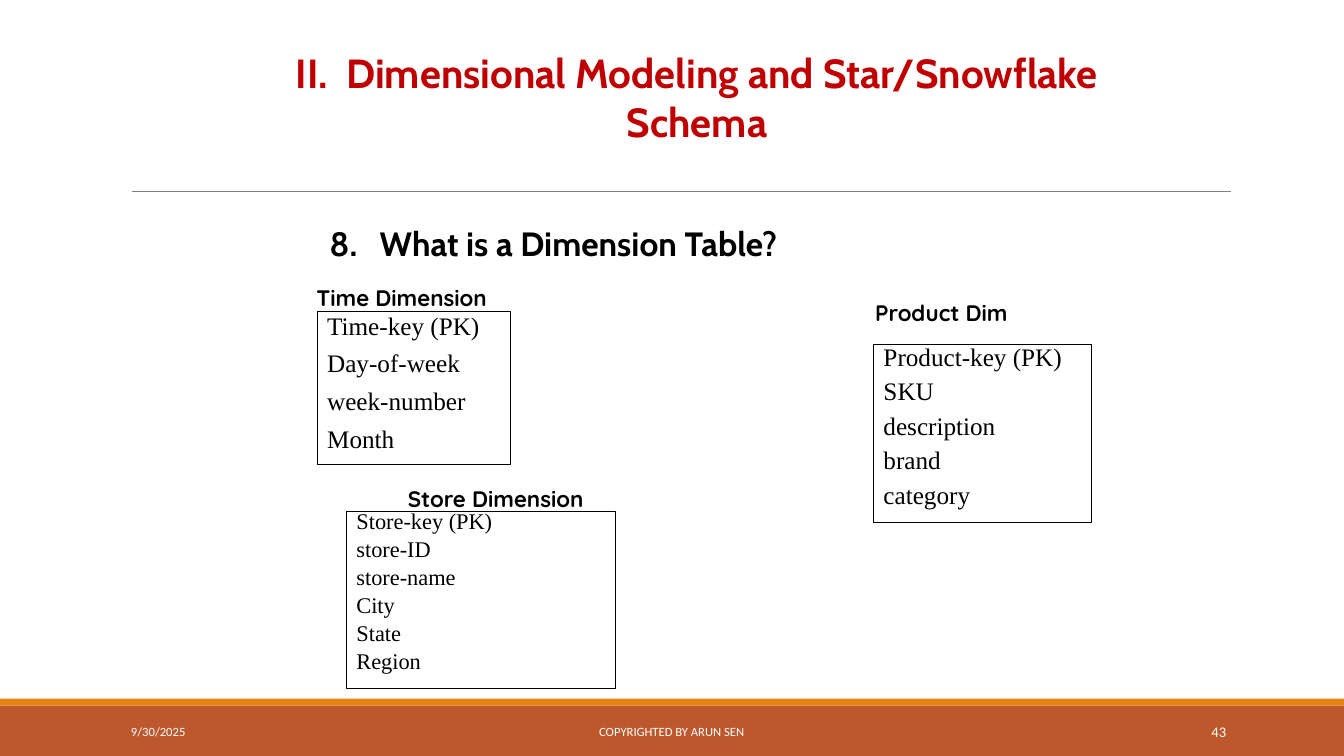
"""Build a slide that shows three dimension tables of a star schema."""
from dataclasses import dataclass

from lxml import etree
from pptx import Presentation
from pptx.dml.color import RGBColor
from pptx.enum.shapes import MSO_CONNECTOR, MSO_SHAPE
from pptx.enum.text import MSO_ANCHOR, PP_ALIGN
from pptx.oxml.ns import qn
from pptx.util import Pt

LEFT, CENTER, RIGHT = PP_ALIGN.LEFT, PP_ALIGN.CENTER, PP_ALIGN.RIGHT
TOP, MIDDLE = MSO_ANCHOR.TOP, MSO_ANCHOR.MIDDLE
RECTANGLE = MSO_SHAPE.RECTANGLE
STRAIGHT = MSO_CONNECTOR.STRAIGHT

COLORS = {
    "title": "C00000",
    "ink": "000000",
    "rule": "808080",
    "footer": "BD582C",
    "accent": "E48312",
    "footer_text": "FFFFFF",
}
HEADING_INSET = 13.2
HEADING_HANG = 36


@dataclass(frozen=True)
class Area:
    left: float
    top: float
    width: float
    height: float

    def lengths(self) -> tuple:
        return Pt(self.left), Pt(self.top), Pt(self.width), Pt(self.height)


@dataclass(frozen=True)
class Style:
    font: str
    size: float
    color: str
    bold: bool = False
    align: PP_ALIGN = LEFT
    anchor: MSO_ANCHOR = TOP
    line_spacing: float = 1.0
    space_before: float = 0


@dataclass(frozen=True)
class Label:
    text: str
    area: Area
    style: Style


@dataclass(frozen=True)
class Dimension:
    columns: tuple
    area: Area
    style: Style
    label: Label


def column_style(size: float, line_spacing: float, space_before: float) -> Style:
    return Style("Times New Roman", size, "ink",
                 line_spacing=line_spacing, space_before=space_before)


def name_style(align: PP_ALIGN = LEFT) -> Style:
    return Style("Quicksand", 16, "ink", True, align)


def footer_style(size: float, align: PP_ALIGN) -> Style:
    return Style("Calibri", size, "footer_text", align=align, anchor=MIDDLE)


TITLE = Label("II.  Dimensional Modeling and Star/Snowflake Schema",
              Area(192, 24, 612, 90),
              Style("Cabin", 29, "title", True, CENTER, MIDDLE))
HEADING = Label("8.\tWhat is a Dimension Table?", Area(222, 156, 552, 36),
                Style("Cabin", 24, "ink", True))
DIMENSIONS = (
    Dimension(("Time-key (PK)", "Day-of-week", "week-number", "Month"),
              Area(226.6, 222.3, 138.2, 109.8), column_style(18, 0.8, 9.5),
              Label("Time Dimension", Area(219, 199.5, 138, 26.5), name_style())),
    Dimension(("Product-key (PK)", "SKU", "description", "brand", "category"),
              Area(624, 246, 156, 127.2), column_style(18, 0.7, 9.5),
              Label("Product Dim", Area(618, 210, 168, 26.5), name_style())),
    Dimension(("Store-key (PK)", "store-ID", "store-name", "City", "State", "Region"),
              Area(247.5, 365.6, 192, 126.4), column_style(16, 0.6, 8.5),
              Label("Store Dimension", Area(222, 343, 264, 26.5), name_style(CENTER))),
)
FOOTERS = (
    Label("9/30/2025", Area(86.5, 508.5, 194.5, 28.5), footer_style(9, LEFT)),
    Label("COPYRIGHTED BY ARUN SEN", Area(290, 508.5, 379.5, 28.5),
          footer_style(9, CENTER)),
    Label("43", Area(780, 508.5, 103, 28.5), footer_style(10.5, RIGHT)),
)


def rgb(name: str) -> RGBColor:
    return RGBColor.from_string(COLORS[name])


def write(frame, lines: tuple, style: Style) -> None:
    frame.word_wrap = True
    frame.vertical_anchor = style.anchor
    for index, line in enumerate(lines):
        para = frame.add_paragraph() if index else frame.paragraphs[0]
        para.text = line
        para.alignment = style.align
        para.line_spacing = style.line_spacing
        para.space_before = Pt(style.space_before if index else 0)
        para.font.name = style.font
        para.font.size = Pt(style.size)
        para.font.bold = style.bold
        para.font.color.rgb = rgb(style.color)


def add_label(page, label: Label):
    box = page.shapes.add_textbox(*label.area.lengths())
    write(box.text_frame, (label.text,), label.style)
    return box


def add_heading(page, label: Label) -> None:
    frame = add_label(page, label).text_frame
    frame.margin_left = Pt(HEADING_INSET)
    properties = frame.paragraphs[0]._p.get_or_add_pPr()
    properties.set("marL", str(Pt(HEADING_HANG)))
    properties.set("indent", str(-Pt(HEADING_HANG)))


def add_bar(page, area: Area, color: str) -> None:
    bar = page.shapes.add_shape(RECTANGLE, *area.lengths())
    bar.shadow.inherit = False
    bar.fill.solid()
    bar.fill.fore_color.rgb = rgb(color)
    bar.line.fill.background()


def add_rule(page, left: float, right: float, top: float) -> None:
    rule = page.shapes.add_connector(STRAIGHT, Pt(left), Pt(top), Pt(right), Pt(top))
    rule.line.color.rgb = rgb("rule")
    rule.line.width = Pt(0.5)
    etree.SubElement(rule._element.spPr, qn("a:effectLst"))


def add_dimension(page, dimension: Dimension) -> None:
    box = page.shapes.add_shape(RECTANGLE, *dimension.area.lengths())
    box.shadow.inherit = False
    box.fill.background()
    box.line.color.rgb = rgb("ink")
    box.line.width = Pt(0.75)
    write(box.text_frame, dimension.columns, dimension.style)
    add_label(page, dimension.label)


def main() -> None:
    deck = Presentation()
    deck.slide_width, deck.slide_height = Pt(960), Pt(540)
    page = deck.slides.add_slide(deck.slide_layouts[6])
    add_bar(page, Area(0, 504, 960, 36), "footer")
    add_bar(page, Area(0, 499, 960, 5), "accent")
    add_rule(page, 94.5, 879, 136.8)
    add_label(page, TITLE)
    add_heading(page, HEADING)
    for dimension in DIMENSIONS:
        add_dimension(page, dimension)
    for footer in FOOTERS:
        add_label(page, footer)
    deck.save("out.pptx")


if __name__ == "__main__":
    main()
